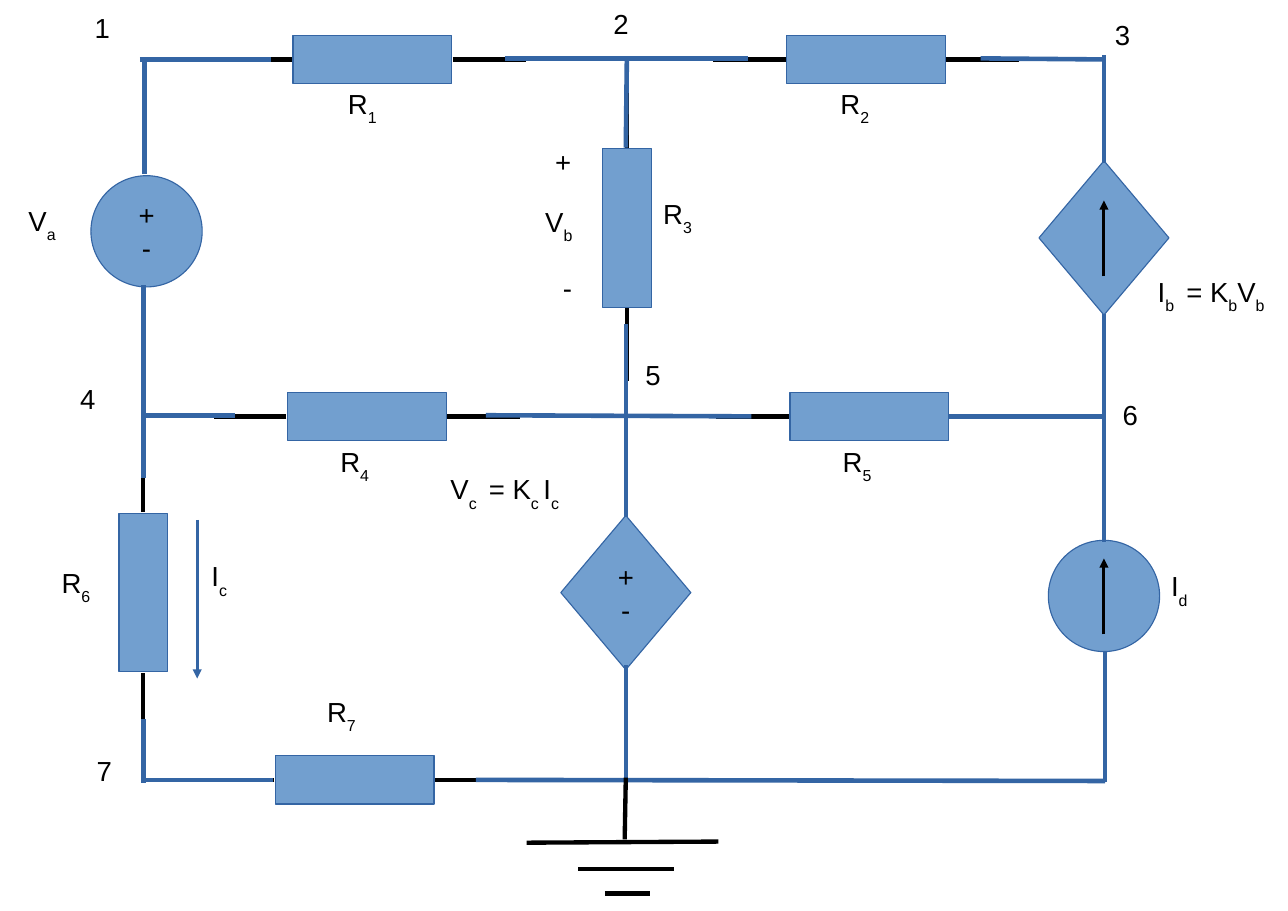
from dataclasses import dataclass

from lxml import etree
from pptx import Presentation
from pptx import util as u
from pptx.dml.color import RGBColor
from pptx.enum import shapes, text
from pptx.oxml import ns


@dataclass(frozen=True)
class Theme:
    """Colours, type and line widths of the circuit."""
    body: RGBColor = RGBColor(0x72, 0x9F, 0xCF)
    wire: RGBColor = RGBColor(0x34, 0x65, 0xA4)
    ink: RGBColor = RGBColor(0, 0, 0)
    font: str = "Arial"
    size: float = 18
    wire_width: float = 3
    lead_width: float = 2.83
    hairline: float = 0


THEME = Theme()
CELL = u.Inches(1)
COLUMNS, ROWS = 11.69, 8.27
LEFT, MIDDLE, RIGHT = 1.3, 5.68, 10.02
TOP, CENTRE, BOTTOM = 0.54, 3.77, 7.08
SOURCE_ROW = 5.38
RESISTOR_LENGTH, RESISTOR_WIDTH = 1.44, 0.44
LEAD_START, LEAD_END = 0.73, 1.39
CIRCLE, DIAMOND = (1.01, 1.01), (1.18, 1.4)

RESISTORS = [
    (3.38, TOP, False), (7.86, TOP, False), (3.33, 3.78, False), (7.89, 3.78, False),
    (3.22, BOTTOM, False), (LEFT, SOURCE_ROW, True), (5.69, 2.07, True),
]
WIRES = [
    (1.31, 1.58, 1.31, TOP), (1.27, TOP, 2.46, TOP),
    (4.58, 0.53, 6.79, 0.53), (8.9, 0.53, 10.03, TOP),
    (LEFT, 2.59, LEFT, 4.34), (LEFT, 6.53, LEFT, 7.11),
    (LEFT, CENTRE, 2.13, CENTRE), (4.41, CENTRE, 6.82, 3.78), (8.61, 3.78, 10.03, 3.78),
    (LEFT, BOTTOM, 2.48, BOTTOM), (4.32, BOTTOM, 10.03, 7.09),
    (5.69, 0.51, MIDDLE, 1.34), (MIDDLE, 2.94, MIDDLE, 4.69), (MIDDLE, 6.04, MIDDLE, 7.09),
    (RIGHT, 0.5, RIGHT, 1.48), (RIGHT, 2.85, RIGHT, 4.92), (10.03, 5.91, 10.03, 7.1),
]
GROUND = [
    (4.78, 7.65, 6.52, 7.64), (5.25, 7.89, 6.12, 7.89),
    (5.49, 8.11, 5.9, 8.11), (5.67, 7.62, MIDDLE, 7.06),
]
NODES = [
    (0.76, 0.05), (5.47, 0.01), (10.02, 0.11), (0.63, 3.42),
    (5.76, 3.2), (10.09, 3.56), (0.78, 6.8),
]
RESISTOR_NAMES = [
    (3.06, 0.74), (7.53, 0.74), (5.92, 1.74), (2.99, 3.99),
    (7.55, 3.99), (0.46, 5.09), (2.87, 6.26),
]
QUANTITIES = [
    (0.16, 1.8, 0.65, ["V", "a"]), (4.85, 1.81, 0.65, ["V", "b"]),
    (1.82, 5.03, 0.65, ["I", "c"]), (10.53, 5.12, 0.65, ["I", "d"]),
    (3.99, 4.24, 1.74, ["V", "c ", " = K", "c ", "I", "c"]),
    (10.41, 2.45, 1.74, ["I", "b ", " = K", "b", "V", "b"]),
    (4.94, 1.27, 0.65, ["+"]), (5.01, 2.41, 0.65, ["-"]),
]


def cells(*lengths):
    """Turn grid lengths into slide lengths."""
    return [round(length * CELL) for length in lengths]


def style_font(paragraph):
    """Give a paragraph the theme's type."""
    font = paragraph.font
    font.name, font.size = THEME.font, u.Pt(THEME.size)
    font.color.rgb = THEME.ink


def add_line(slide, ends, colour, width, arrow=False):
    """Draw a straight line, with an arrowhead at its end on request."""
    line = slide.shapes.add_connector(shapes.MSO_CONNECTOR.STRAIGHT, *cells(*ends))
    line.line.color.rgb, line.line.width = colour, u.Pt(width)
    if arrow:
        outline = line._element.spPr.find(ns.qn("a:ln"))
        etree.SubElement(outline, ns.qn("a:tailEnd"), type="triangle")
    etree.SubElement(line._element.spPr, ns.qn("a:effectLst"))


def add_symbol(slide, kind, x, y, size, signs=()):
    """Draw a filled symbol centred on a point, with its polarity signs."""
    width, height = size
    symbol = slide.shapes.add_shape(kind, *cells(x - width / 2, y - height / 2, width, height))
    symbol.shadow.inherit = False
    symbol.fill.solid()
    symbol.fill.fore_color.rgb = THEME.body
    symbol.line.color.rgb, symbol.line.width = THEME.wire, u.Pt(THEME.hairline)
    frame = symbol.text_frame
    frame.vertical_anchor = text.MSO_ANCHOR.MIDDLE
    for index, sign in enumerate(signs):
        paragraph = frame.add_paragraph() if index else frame.paragraphs[0]
        paragraph.text = sign
        paragraph.alignment = text.PP_ALIGN.CENTER
        style_font(paragraph)


def add_resistor(slide, x, y, upright):
    """Draw a resistor with a lead on either side."""
    size = (RESISTOR_LENGTH, RESISTOR_WIDTH)
    add_symbol(slide, shapes.MSO_SHAPE.RECTANGLE, x, y, size[::-1] if upright else size)
    for side in (-1, 1):
        near, far = side * LEAD_START, side * LEAD_END
        ends = (x, y + near, x, y + far) if upright else (x + near, y, x + far, y)
        add_line(slide, ends, THEME.ink, THEME.lead_width)


def add_label(slide, x, y, width, pieces):
    """Write pieces that alternate between plain and subscript."""
    label = slide.shapes.add_textbox(*cells(x, y, width, 0.6))
    label.text_frame.word_wrap = True
    paragraph = label.text_frame.paragraphs[0]
    style_font(paragraph)
    for index, piece in enumerate(pieces):
        run = paragraph.add_run()
        run.text = piece
        if index % 2:
            run.font._element.set("baseline", "-33000")


def add_sources(slide):
    """Draw the voltage and current sources."""
    circle, diamond = shapes.MSO_SHAPE.OVAL, shapes.MSO_SHAPE.DIAMOND
    add_symbol(slide, diamond, MIDDLE, SOURCE_ROW, DIAMOND, "+-")
    add_symbol(slide, circle, 1.33, 2.1, CIRCLE, "+-")
    for kind, y, size in ((circle, 5.41, CIRCLE), (diamond, 2.16, DIAMOND)):
        add_symbol(slide, kind, RIGHT, y, size)
        arrow = (RIGHT, y + 0.35, RIGHT, y - 0.34)
        add_line(slide, arrow, THEME.ink, THEME.hairline, arrow=True)


def add_labels(slide):
    """Write node numbers, resistor names and quantities."""
    for number, (x, y) in enumerate(NODES, 1):
        add_label(slide, x, y, 0.47, [str(number)])
    for number, (x, y) in enumerate(RESISTOR_NAMES, 1):
        add_label(slide, x, y, 0.65, ["R", str(number)])
    for quantity in QUANTITIES:
        add_label(slide, *quantity)


def main():
    """Build the circuit slide."""
    deck = Presentation()
    deck.slide_width, deck.slide_height = cells(COLUMNS, ROWS)
    slide = deck.slides.add_slide(deck.slide_layouts[6])
    add_sources(slide)
    for resistor in RESISTORS:
        add_resistor(slide, *resistor)
    for wire in WIRES:
        add_line(slide, wire, THEME.wire, THEME.wire_width)
    add_labels(slide)
    add_line(slide, (1.79, 4.72, 1.79, 6.16), THEME.wire, THEME.hairline, arrow=True)
    for bar in GROUND:
        add_line(slide, bar, THEME.ink, THEME.lead_width)
    deck.save("out.pptx")


if __name__ == "__main__":
    main()
